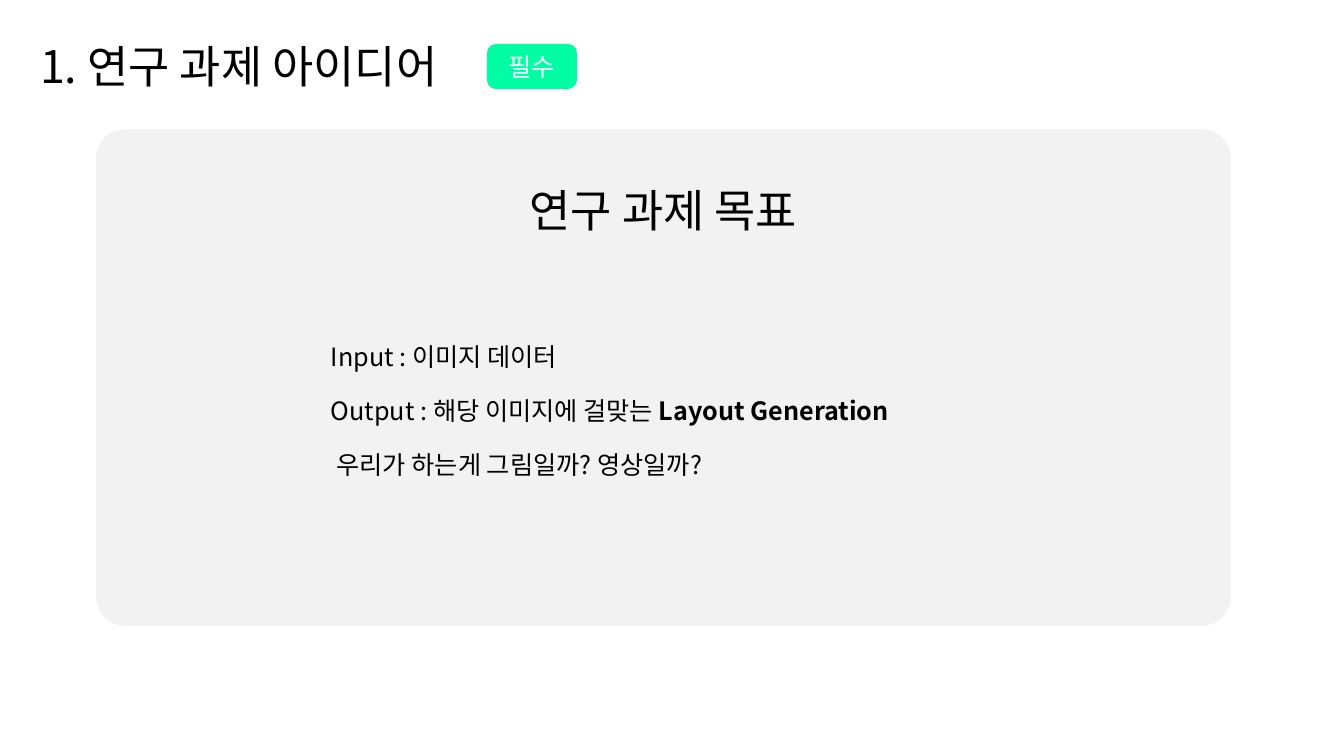
from dataclasses import dataclass

from lxml import etree
from pptx import Presentation
from pptx.dml.color import RGBColor
from pptx.enum.shapes import MSO_SHAPE
from pptx.enum.text import MSO_ANCHOR, MSO_AUTO_SIZE, PP_ALIGN
from pptx.oxml.ns import qn
from pptx.util import Emu, Pt

ROUND = MSO_SHAPE.ROUNDED_RECTANGLE
TOP, MIDDLE = MSO_ANCHOR.TOP, MSO_ANCHOR.MIDDLE
LEFT, CENTER = PP_ALIGN.LEFT, PP_ALIGN.CENTER
FIXED = MSO_AUTO_SIZE.NONE
TITLE_ONLY = 5
SCALE = 914400 / 100.8


@dataclass(frozen=True)
class Theme:
    font: str = "Noto Sans CJK KR"
    ink: str = "000000"
    paper: str = "FFFFFF"
    panel: str = "F2F2F2"
    badge: str = "00FFA5"
    head: int = 32
    body: int = 18
    gap: int = 17


def px(count):
    return Emu(round(count * SCALE))


class Page:
    def __init__(self, deck, theme):
        self.theme = theme
        self.slide = deck.slides.add_slide(deck.slide_layouts[TITLE_ONLY])

    def place(self, shape, box):
        shape.left, shape.top, shape.width, shape.height = map(px, box)

    def fill_text(self, shape, lines, size, color, align=LEFT, anchor=TOP):
        frame = shape.text_frame
        frame.word_wrap = True
        frame.auto_size = FIXED
        frame.vertical_anchor = anchor
        for index, parts in enumerate(lines):
            para = frame.add_paragraph() if index else frame.paragraphs[0]
            para.alignment = align
            para.space_before = Pt(self.theme.gap if index else 0)
            font = para.font
            font.size = Pt(size)
            font.color.rgb = RGBColor.from_string(color)
            font.name = self.theme.font
            props = para._p.pPr.find(qn("a:defRPr"))
            etree.SubElement(props, qn("a:ea"), typeface=self.theme.font)
            for text, bold in parts:
                run = para.add_run()
                run.text = text
                if bold:
                    run.font.bold = True

    def title(self, text, box):
        shape = self.slide.shapes.title
        self.place(shape, box)
        self.fill_text(shape, [[(text, False)]], self.theme.head,
                       self.theme.ink)

    def text(self, lines, box, size, align=LEFT):
        shape = self.slide.shapes.add_textbox(*map(px, box))
        self.fill_text(shape, lines, size, self.theme.ink, align)

    def card(self, box, fill, curve):
        shape = self.slide.shapes.add_shape(ROUND, *map(px, box))
        shape.adjustments[0] = curve
        shape.shadow.inherit = False
        shape.fill.solid()
        shape.fill.fore_color.rgb = RGBColor.from_string(fill)
        shape.line.fill.background()
        return shape

    def badge(self, text, box):
        shape = self.card(box, self.theme.badge, 0.2)
        self.fill_text(shape, [[(text, False)]], self.theme.body,
                       self.theme.paper, CENTER, MIDDLE)


def main():
    deck = Presentation()
    deck.slide_width, deck.slide_height = px(1344), px(756)
    theme = Theme()
    page = Page(deck, theme)
    page.card((96, 129, 1135, 497), theme.panel, 0.06)
    page.title("1. 연구 과제 아이디어", (30, 34, 480, 65))
    page.badge("필수", (487, 44, 90, 45))
    page.text([[("연구 과제 목표", False)]], (207, 178, 913, 65),
              theme.head, CENTER)
    goals = [
        [("Input : 이미지 데이터", False)],
        [("Output : 해당 이미지에 걸맞는 ", False), ("Layout Generation", True)],
        [(" 우리가 하는게 그림일까? 영상일까?", False)],
    ]
    page.text(goals, (321, 336, 695, 163), theme.body)
    deck.save("out.pptx")


if __name__ == "__main__":
    main()
